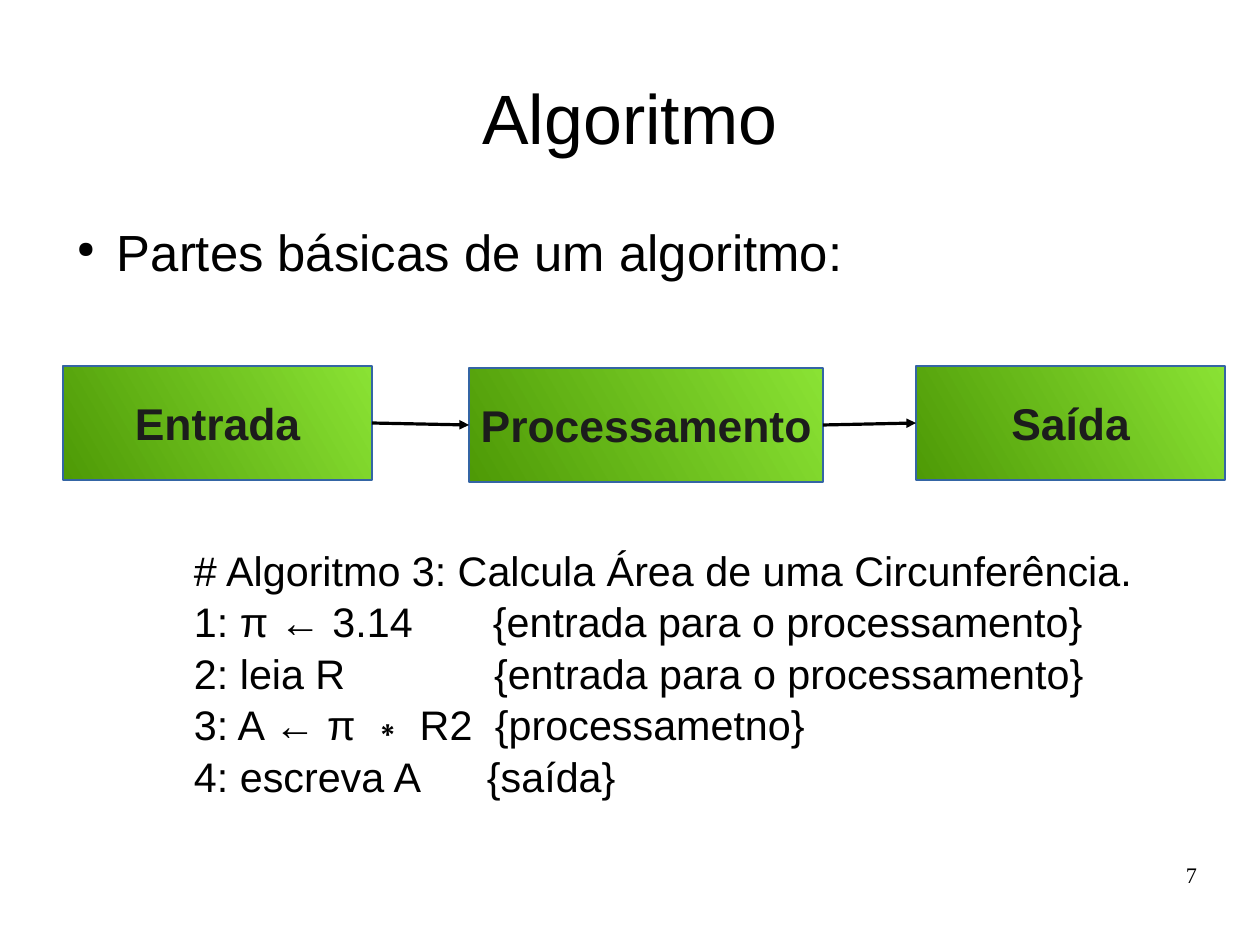
from lxml import etree
from pptx import Presentation
from pptx.dml.color import RGBColor
from pptx.enum.shapes import MSO_CONNECTOR as Line, MSO_SHAPE as Preset
from pptx.enum.text import MSO_ANCHOR as Anchor, PP_ALIGN as Align
from pptx.oxml.ns import qn
from pptx.util import Pt

PX = 8000  # EMU in one px
SLIDE = (1260, 945)

TITLE = ("Algoritmo", (63, 38, 1134, 158))
TOPIC = ("Partes básicas de um algoritmo:", (63, 221, 1134, 547))
STEPS = [
    ("Entrada", (63, 366, 309, 114)),
    ("Processamento", (469, 368, 354, 114)),
    ("Saída", (916, 366, 309, 114)),
]
# instruction, its remark, tab position of the remark
CODE = [
    ("# Algoritmo 3: Calcula Área de uma Circunferência.", None, None),
    ("1: π ← 3.14", "{entrada para o processamento}", 299),
    ("2: leia R", "{entrada para o processamento}", 300),
    ("3: A ← π ∗ R2", "{processametno}", 301),
    ("4: escreva A", "{saída}", 293),
]
CODE_AREA = (183, 537, 994, 327)
PAGE = ("7", (903, 861, 294, 65))

BLACK = "000000"
STEP_INK = "1C1C1C"
STEP_EDGE = "3465A4"
STEP_GRADIENT = ["8AE234", "4E9A06"]

TITLE_FONT = {"name": "Arial", "size": Pt(44)}
TOPIC_FONT = {"name": "Arial", "size": Pt(32)}
CODE_FONT = {"name": "Arial", "size": Pt(26)}
STEP_FONT = {"name": "Arial", "size": Pt(28), "bold": True}
PAGE_FONT = {"name": "Times New Roman", "size": Pt(14)}
NO_MARGIN = (0, 0)
MARGIN = (11, 6)


def rgb(color):
    return RGBColor.from_string(color)


def emu(lengths):
    return [length * PX for length in lengths]


def set_all(target, values):
    for key, value in values.items():
        setattr(target, key, value)


def add_xml(parent, tag, **attributes):
    return etree.SubElement(parent, qn(tag), attributes)


def set_up_frame(frame, margin, anchor=Anchor.TOP, wrap=True):
    across, down = emu(margin)
    set_all(frame, {
        "margin_left": across, "margin_right": across,
        "margin_top": down, "margin_bottom": down,
        "vertical_anchor": anchor, "word_wrap": wrap,
    })


def write(paragraph, text, font, color=BLACK, align=Align.LEFT):
    paragraph.alignment = align
    run = paragraph.add_run()
    run.text = text
    set_all(run.font, font)
    run.font.color.rgb = rgb(color)


def add_text_area(slide, area, margin):
    frame = slide.shapes.add_textbox(*emu(area)).text_frame
    set_up_frame(frame, margin)
    return frame


def add_title(slide):
    text, area = TITLE
    title = slide.shapes.title
    set_all(title, dict(zip(("left", "top", "width", "height"), emu(area))))
    set_up_frame(title.text_frame, NO_MARGIN, Anchor.MIDDLE)
    write(title.text_frame.paragraphs[0], text, TITLE_FONT, align=Align.CENTER)


def add_topic(slide):
    text, area = TOPIC
    paragraph = add_text_area(slide, area, NO_MARGIN).paragraphs[0]
    write(paragraph, text, TOPIC_FONT)
    paragraph.space_before = Pt(14.1)
    properties = paragraph._p.get_or_add_pPr()
    properties.set("marL", str(54 * PX))
    properties.set("indent", str(-40 * PX))
    add_xml(add_xml(properties, "a:buClr"), "a:srgbClr", val=BLACK)
    add_xml(properties, "a:buSzPct", val="45000")
    add_xml(properties, "a:buChar", char="●")


def add_code(slide):
    frame = add_text_area(slide, CODE_AREA, MARGIN)
    for row, (instruction, remark, stop) in enumerate(CODE):
        paragraph = frame.add_paragraph() if row else frame.paragraphs[0]
        text = f"{instruction}\t{remark}" if remark else instruction
        write(paragraph, text, CODE_FONT)
        paragraph.line_spacing = 1.04
        if remark:
            tabs = add_xml(paragraph._p.get_or_add_pPr(), "a:tabLst")
            add_xml(tabs, "a:tab", pos=str(stop * PX), algn="l")


def add_step(slide, text, area):
    step = slide.shapes.add_shape(Preset.RECTANGLE, *emu(area))
    step.shadow.inherit = False
    step.fill.gradient()
    step.fill.gradient_angle = 210
    for position, (stop, color) in enumerate(zip(step.fill.gradient_stops, STEP_GRADIENT)):
        stop.position = position
        stop.color.rgb = rgb(color)
    step.line.color.rgb = rgb(STEP_EDGE)
    step.line.width = Pt(0)
    set_up_frame(step.text_frame, MARGIN, Anchor.MIDDLE, wrap=False)
    write(step.text_frame.paragraphs[0], text, STEP_FONT, STEP_INK, Align.CENTER)
    return step


def add_arrow(slide, before, after):
    arrow = slide.shapes.add_connector(Line.STRAIGHT, 0, 0, 0, 0)
    arrow.begin_connect(before, 3)
    arrow.end_connect(after, 1)
    arrow.line.color.rgb = rgb(BLACK)
    arrow.line.width = Pt(0)
    add_xml(arrow.line._get_or_add_ln(), "a:tailEnd", type="triangle")
    add_xml(arrow._element.spPr, "a:effectLst")


def add_page_number(slide):
    text, area = PAGE
    frame = add_text_area(slide, area, NO_MARGIN)
    write(frame.paragraphs[0], text, PAGE_FONT, align=Align.RIGHT)


def main():
    deck = Presentation()
    deck.slide_width, deck.slide_height = emu(SLIDE)
    slide = deck.slides.add_slide(deck.slide_layouts.get_by_name("Title Only"))
    add_title(slide)
    add_topic(slide)
    add_code(slide)
    steps = [add_step(slide, text, area) for text, area in STEPS]
    for before, after in zip(steps, steps[1:]):
        add_arrow(slide, before, after)
    add_page_number(slide)
    deck.save("out.pptx")


if __name__ == "__main__":
    main()
